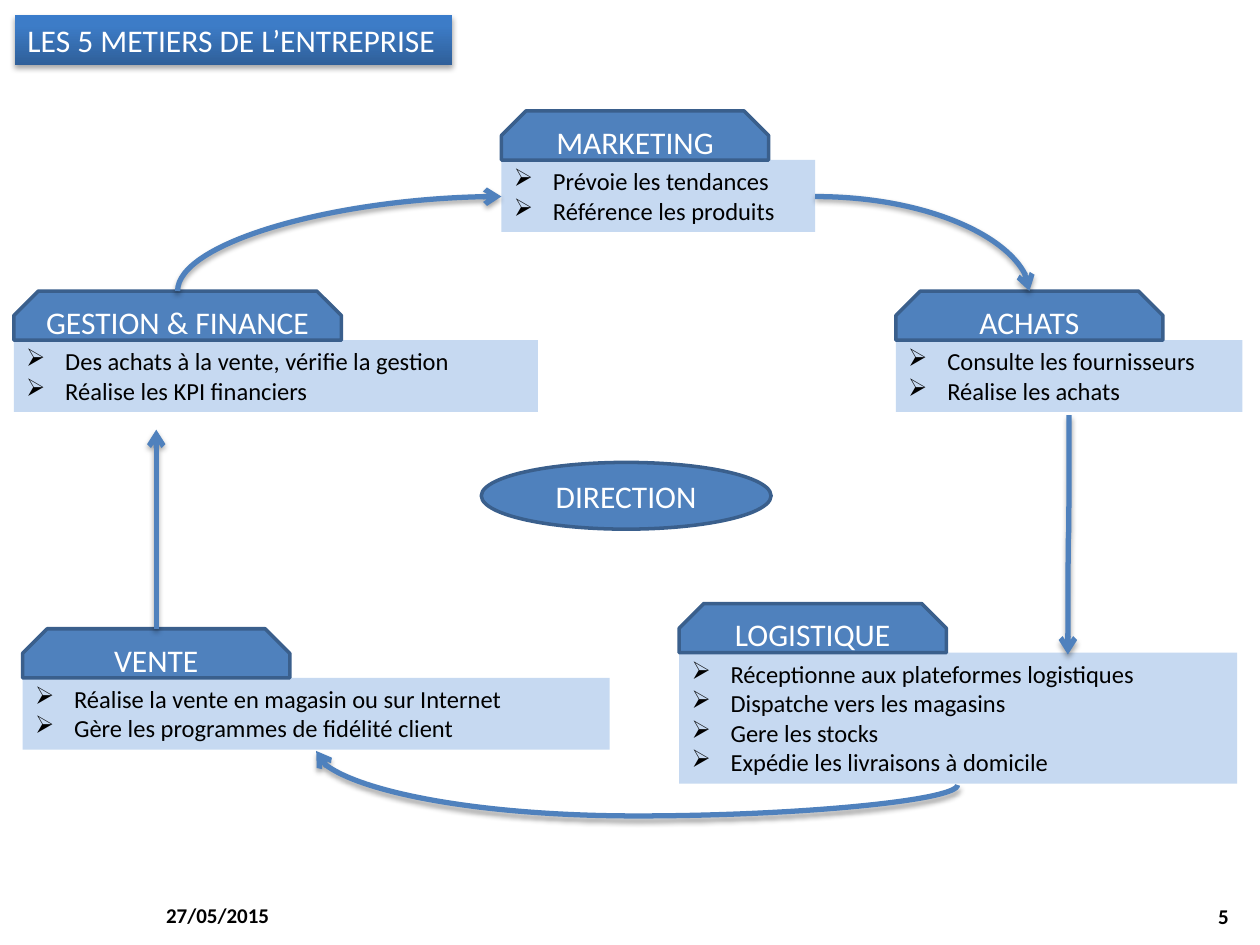
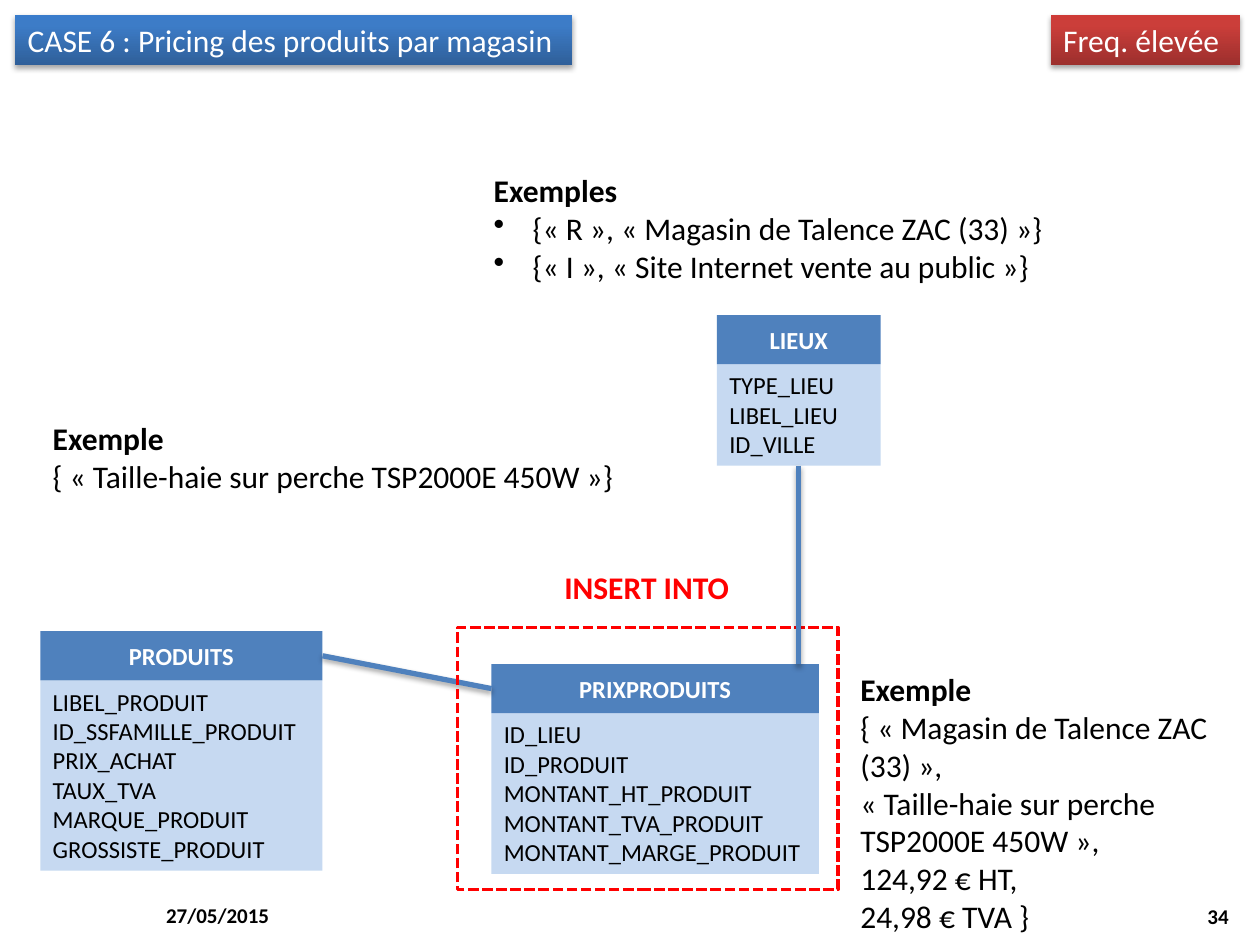
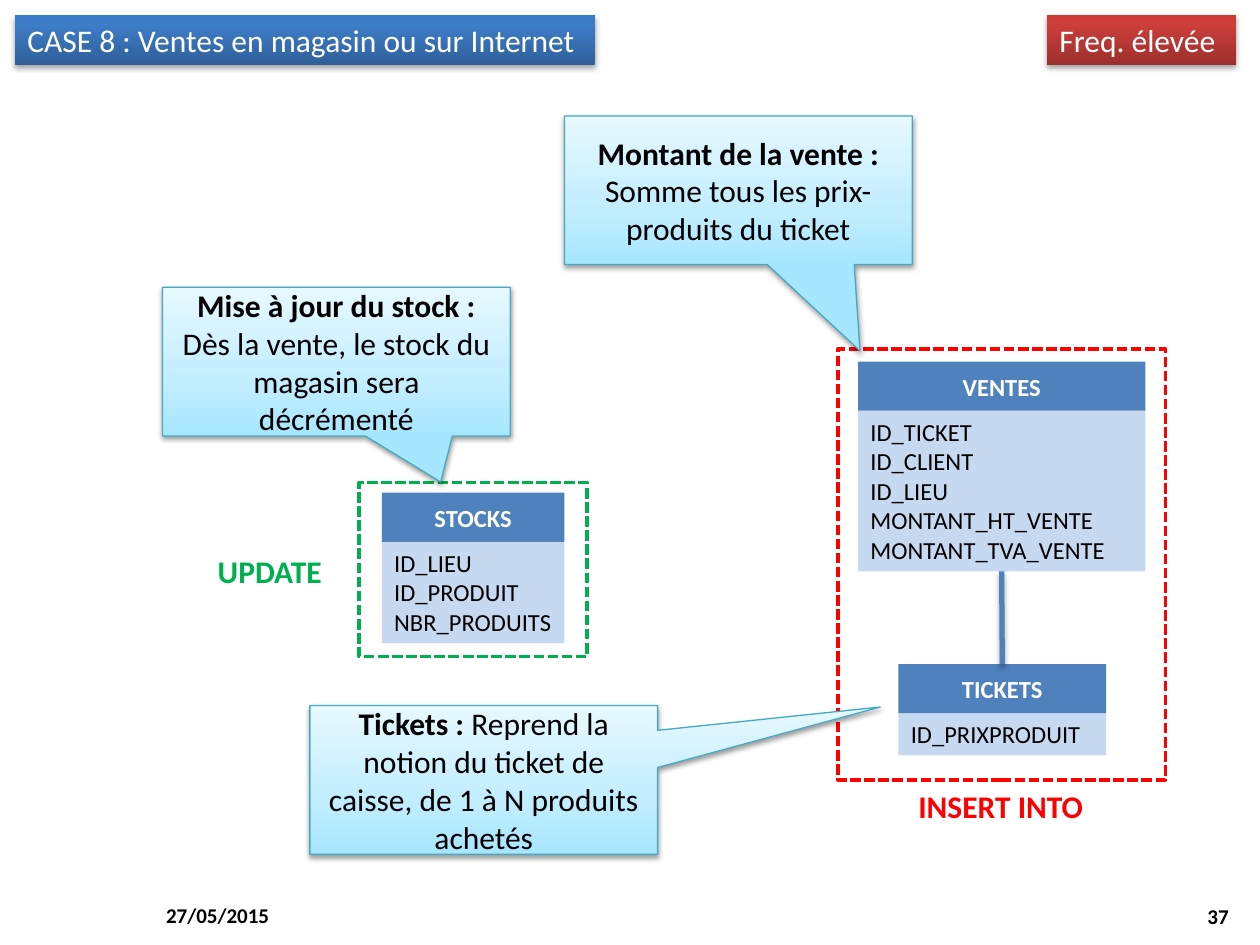
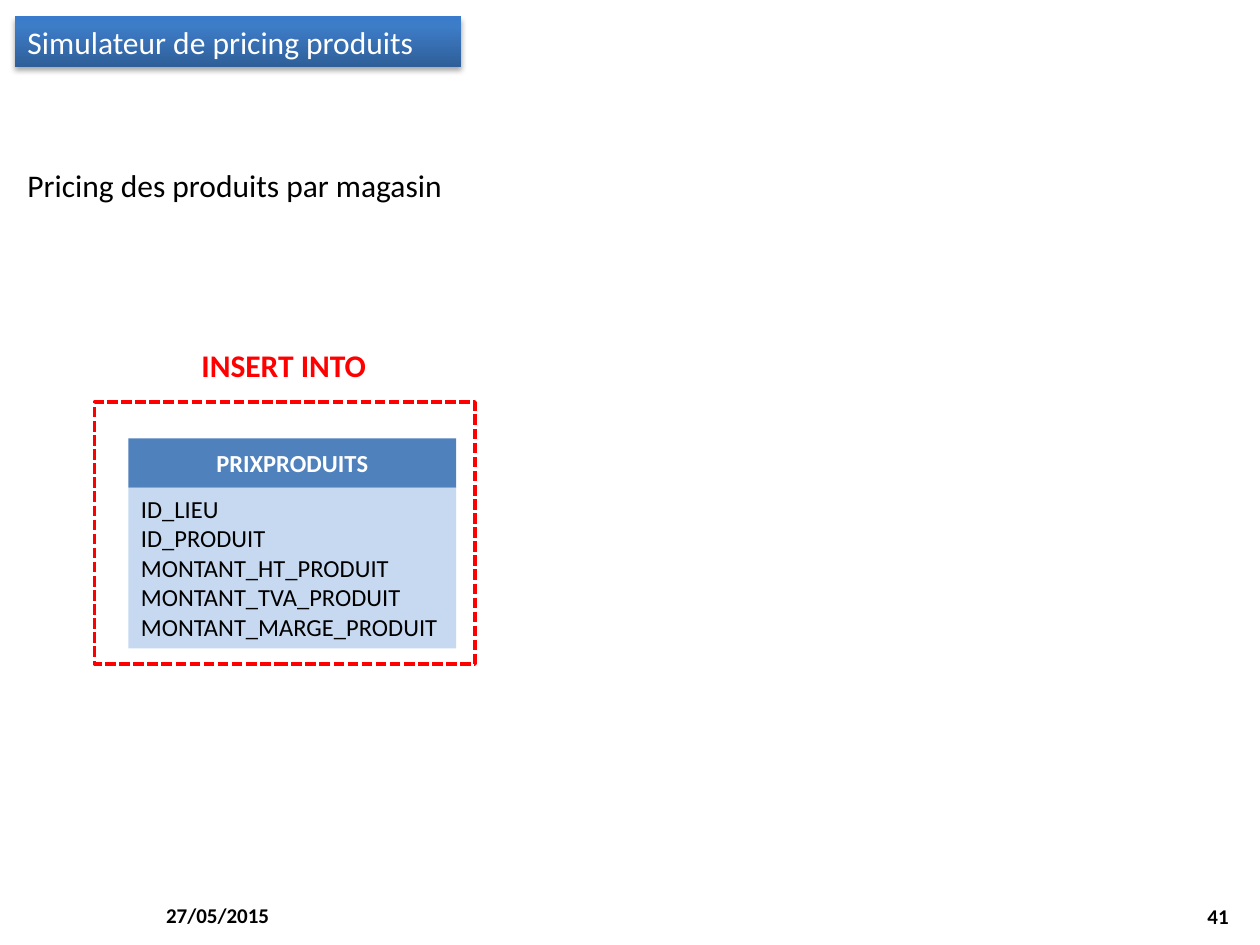
from lxml.etree import SubElement
from pptx import Presentation
from pptx.dml.color import RGBColor
from pptx.enum.dml import MSO_LINE as Dash
from pptx.enum.shapes import MSO_CONNECTOR as Link, MSO_SHAPE as Form
from pptx.enum.text import MSO_ANCHOR as Anchor, MSO_AUTO_SIZE as Fit, PP_ALIGN as Align
from pptx.oxml.ns import qn
from pptx.util import Inches, Pt

FONT = "Calibri"
DATE = "27/05/2015"
BLACK, WHITE, RED, GREEN = "000000", "FFFFFF", "FF0000", "00B050"
BLUE, EDGE, PALE, AQUA = "4F81BD", "3A5F8C", "C6D9F1", "46AAC5"
NAVY = [(0, "2F5F99"), (80, "3D7CC7"), (100, "3A7CCB")]
RUBY = [(0, "9C2F2D"), (80, "CB3E3A"), (100, "CE3B37")]
SKY = [(0, "A7E6FF"), (35, "C1EDFF"), (100, "E7F8FF")]
HEAD, ROW, PAD, BAND = 0.39, 0.235, 0.1, 0.4
PRICE = ["ID_LIEU", "ID_PRODUIT", "MONTANT_HT_PRODUIT", "MONTANT_TVA_PRODUIT",
         "MONTANT_MARGE_PRODUIT"]


def tint(code):
    return RGBColor.from_string(code)


def plain(*lines):
    return [("", line) for line in lines]


def strong(*lines):
    return [(line, "") for line in lines]


class Deck:
    """Holds the style and the current slide, and draws each kind of element."""

    def __init__(self):
        self.prs = Presentation()
        self.prs.slide_width, self.prs.slide_height = Inches(10), Inches(7.5)

    def page(self, title, width, number, top=0.12):
        self.slide = self.prs.slides.add_slide(self.prs.slide_layouts[6])
        self.text(1.22, 7.06, 2.33, 0.4, strong(DATE), 12, anchor=Anchor.MIDDLE)
        self.text(7.52, 7.07, 2.33, 0.4, strong(number), 12, align=Align.RIGHT,
                  anchor=Anchor.MIDDLE)
        self.band(0.12, top, width, title, NAVY)

    def type_in(self, shape, pairs, size, color=BLACK, align=Align.LEFT,
                anchor=Anchor.TOP, mark=None, grow=False, wrap=True):
        frame = shape.text_frame
        frame.word_wrap = wrap
        frame.vertical_anchor = anchor
        if grow:
            frame.auto_size = Fit.SHAPE_TO_FIT_TEXT
        for i, (bold, rest) in enumerate(pairs):
            para = frame.paragraphs[0] if i == 0 else frame.add_paragraph()
            para.alignment = align
            if mark and not bold:
                props = para._p.get_or_add_pPr()
                props.set("marL", str(Inches(0.31)))
                props.set("indent", str(-Inches(0.31)))
                SubElement(props, qn("a:buChar"), char=mark)
            for words, heavy in ((bold, True), (rest, False)):
                if words:
                    run = para.add_run()
                    run.text = words
                    font = run.font
                    font.name, font.size, font.bold = FONT, Pt(size), heavy
                    font.color.rgb = tint(color)

    def text(self, x, y, w, h, pairs, size=18, **style):
        box = self.slide.shapes.add_textbox(*map(Inches, (x, y, w, h)))
        self.type_in(box, pairs, size, **style)
        return box

    def shape(self, form, x, y, w, h, fill=None, line=None, width=2, adj=()):
        shape = self.slide.shapes.add_shape(form, *map(Inches, (x, y, w, h)))
        shape.shadow.inherit = False
        for i, value in enumerate(adj):
            shape.adjustments[i] = value
        if isinstance(fill, list):
            self.fade(shape, fill)
        elif fill:
            shape.fill.solid()
            shape.fill.fore_color.rgb = tint(fill)
        else:
            shape.fill.background()
        if line:
            shape.line.color.rgb = tint(line)
            shape.line.width = Pt(width)
        else:
            shape.line.fill.background()
        return shape

    def fade(self, shape, stops):
        shape.fill.gradient()
        shape.fill.gradient_angle = 90
        group = shape._element.spPr.find(".//" + qn("a:gsLst"))
        group.clear()
        for place, code in stops:
            stop = SubElement(group, qn("a:gs"), pos=str(place * 1000))
            SubElement(stop, qn("a:srgbClr"), val=code)

    def cast(self, shape, alpha=35, drop=1.8):
        props = shape._element.spPr
        group = props.find(qn("a:effectLst"))
        if group is None:
            group = SubElement(props, qn("a:effectLst"))
        shade = SubElement(group, qn("a:outerShdw"), blurRad=str(Pt(3.1)),
                           dist=str(Pt(drop)), dir="5400000", rotWithShape="0")
        color = SubElement(shade, qn("a:srgbClr"), val=BLACK)
        SubElement(color, qn("a:alpha"), val=str(alpha * 1000))

    def band(self, x, y, w, words, stops):
        band = self.shape(Form.RECTANGLE, x, y, w, BAND, stops)
        self.cast(band)
        self.type_in(band, plain(words), 18, WHITE, grow=True)

    def sheet(self, x, y, w, lines, mark=None):
        body = self.shape(Form.RECTANGLE, x, y, w, PAD + ROW * len(lines), PALE)
        self.type_in(body, plain(*lines), 14, mark=mark, grow=True)
        return body

    def label(self, shape, pairs, size=18):
        self.type_in(shape, pairs, size, WHITE, Align.CENTER, Anchor.MIDDLE)

    def job(self, x, y, w, name, lines, cap=2.12):
        self.sheet(x, y + HEAD, w, lines, "➢")
        head = self.shape(Form.SNIP_2_SAME_RECTANGLE, x, y, cap, HEAD, BLUE, EDGE,
                          adj=(0.5, 0))
        self.label(head, plain(name))

    def hub(self, x, y, w, h, name):
        self.label(self.shape(Form.OVAL, x, y, w, h, BLUE, EDGE), plain(name))

    def entity(self, x, y, w, name, lines):
        body = self.sheet(x, y + HEAD, w, lines)
        head = self.shape(Form.RECTANGLE, x, y, w, HEAD, BLUE)
        self.label(head, strong(name), 14)
        self.slide.shapes.add_group_shape([body, head])
        return head, body

    def frame(self, x, y, w, h, color=RED):
        frame = self.shape(Form.RECTANGLE, x, y, w, h, line=color)
        frame.line.dash_style = Dash.SQUARE_DOT

    def order(self, x, y, w=1.52, words="INSERT INTO", color=RED):
        self.text(x, y, w, 0.4, strong(words), color=color, grow=True, wrap=False)

    def bubble(self, x, y, adj, bold, rest):
        shape = self.shape(Form.RECTANGULAR_CALLOUT, x, y, 2.76, 1.18, SKY, AQUA,
                           0.75, adj)
        self.cast(shape, 38, 1.6)
        self.type_in(shape, [(bold, rest)], 18, align=Align.CENTER,
                     anchor=Anchor.MIDDLE)

    def link(self, kind, ends):
        link = self.slide.shapes.add_connector(kind, *map(Inches, ends))
        link.line.color.rgb = tint(BLUE)
        link.line.width = Pt(3)
        self.cast(link)
        return link

    def bend(self, ends, turn=90, form=3, adj=None):
        link = self.link(Link.CURVE, ends)
        props = link._element.spPr
        props.find(qn("a:xfrm")).set("rot", str(turn * 60000))
        geom = props.find(qn("a:prstGeom"))
        geom.set("prst", f"curvedConnector{form}")
        if adj is not None:
            SubElement(geom.find(qn("a:avLst")), qn("a:gd"), name="adj1",
                       fmla=f"val {round(adj * 100000)}")
        SubElement(props.find(qn("a:ln")), qn("a:tailEnd"), type="arrow")

    def tie(self, ends, start, side, stop=None, edge=0):
        link = self.link(Link.STRAIGHT, ends)
        link.begin_connect(start, side)
        if stop is not None:
            link.end_connect(stop, edge)


def trades(deck):
    deck.page("LES 5 METIERS DE L’ENTREPRISE", 3.47, "5")
    deck.job(3.98, 0.88, 2.49, "MARKETING",
             ["Prévoie les tendances", "Référence les produits"])
    deck.job(7.11, 2.31, 2.75, "ACHATS",
             ["Consulte les fournisseurs", "Réalise les achats"])
    deck.job(5.39, 4.79, 4.43, "LOGISTIQUE",
             ["Réceptionne aux plateformes logistiques", "Dispatche vers les magasins",
              "Gere les stocks", "Expédie les livraisons à domicile"])
    deck.job(0.18, 4.99, 4.66, "VENTE",
             ["Réalise la vente en magasin ou sur Internet",
              "Gère les programmes de fidélité client"])
    deck.job(0.11, 2.31, 4.16, "GESTION & FINANCE",
             ["Des achats à la vente, vérifie la gestion", "Réalise les KPI financiers"],
             cap=2.6)
    deck.bend((6.47, 1.56, 8.17, 2.31), turn=0, form=2)
    deck.bend((7.53, 4.24, 9.43, 4.25))
    deck.bend((2.03, 4.2, 0.45, 4.2))
    deck.bend((3.07, 3.22, 2.32, 0.65), form=2)
    deck.bend((5.19, 3.55, 4.92, 8.64), adj=-0.91)
    deck.hub(3.82, 3.67, 2.3, 0.53, "DIRECTION")


def pricing(deck):
    deck.page("CASE 6 : Pricing des produits par magasin", 4.42, "34")
    deck.band(8.34, 0.12, 1.5, "Freq. élevée", RUBY)
    price, _ = deck.entity(3.9, 5.27, 2.6, "PRIXPRODUITS", PRICE)
    goods, _ = deck.entity(0.32, 5.01, 2.24, "PRODUITS",
                           ["LIBEL_PRODUIT", "ID_SSFAMILLE_PRODUIT", "PRIX_ACHAT",
                            "TAUX_TVA", "MARQUE_PRODUIT", "GROSSISTE_PRODUIT"])
    deck.tie((2.56, 5.2, 3.9, 5.46), goods, 3, price, 1)
    deck.frame(3.63, 4.98, 3.02, 2.08)
    deck.order(4.38, 4.46)
    deck.text(0.32, 3.28, 4.72, 0.71,
              strong("Exemple") + plain("{ « Taille-haie sur perche TSP2000E 450W »}"),
              grow=True, wrap=False)
    _, place = deck.entity(5.69, 2.5, 1.3, "LIEUX",
                           ["TYPE_LIEU", "LIBEL_LIEU", "ID_VILLE"])
    deck.tie((6.34, 3.69, 6.34, 5.27), place, 2)
    deck.text(3.82, 1.31, 4.73, 1.01,
              strong("Exemples") + plain("{« R », « Magasin de Talence ZAC (33) »}",
                                         "{« I », « Site Internet vente au public »}"),
              mark="•", grow=True)
    deck.text(6.73, 5.27, 3.27, 2.22,
              strong("Exemple") + plain("{ « Magasin de Talence ZAC (33) »,",
                                        "« Taille-haie sur perche TSP2000E 450W »,",
                                        "124,92 € HT,", "24,98 € TVA }"),
              grow=True)


def sales(deck):
    deck.page("CASE 8 : Ventes en magasin ou sur Internet", 4.6, "37")
    deck.band(8.31, 0.12, 1.5, "Freq. élevée", RUBY)
    _, sale = deck.entity(6.81, 2.87, 2.28, "VENTES",
                          ["ID_TICKET", "ID_CLIENT", "ID_LIEU", "MONTANT_HT_VENTE",
                           "MONTANT_TVA_VENTE"])
    slip, _ = deck.entity(7.13, 5.27, 1.65, "TICKETS", ["ID_PRIXPRODUIT"])
    deck.tie((7.95, 4.55, 7.95, 5.27), sale, 2, slip, 0)
    deck.frame(6.65, 2.77, 2.6, 3.42)
    deck.order(7.19, 6.2)
    deck.entity(3.03, 3.91, 1.45, "STOCKS", ["ID_LIEU", "ID_PRODUIT", "NBR_PRODUITS"])
    deck.frame(2.85, 3.83, 1.81, 1.38, GREEN)
    deck.order(1.63, 4.33, 1.04, "UPDATE", GREEN)
    deck.bubble(1.29, 2.28, (0.3, 0.81), "Mise à jour du stock : ",
                "Dès la vente, le stock du magasin sera décrémenté")
    deck.bubble(2.46, 5.6, (1.14, -0.49), "Tickets : ",
                "Reprend la notion du ticket de caisse, de 1 à N produits achetés")
    deck.bubble(4.48, 0.92, (0.35, 1.08), "Montant de la vente : ",
                "Somme tous les prix-produits du ticket")


def model(deck):
    deck.page("Simulateur de pricing produits", 3.54, "41", top=0.13)
    note = deck.text(0.12, 0.97, 6.83, 0.62, plain("Pricing des produits par magasin"),
                     grow=True)
    note.text_frame.paragraphs[0].line_spacing = 2.0
    deck.entity(1.02, 3.48, 2.6, "PRIXPRODUITS", PRICE)
    deck.frame(0.75, 3.19, 3.02, 2.08)
    deck.order(1.5, 2.7)


def main():
    deck = Deck()
    for draw in (trades, pricing, sales, model):
        draw(deck)
    deck.prs.save("out.pptx")


if __name__ == "__main__":
    main()
